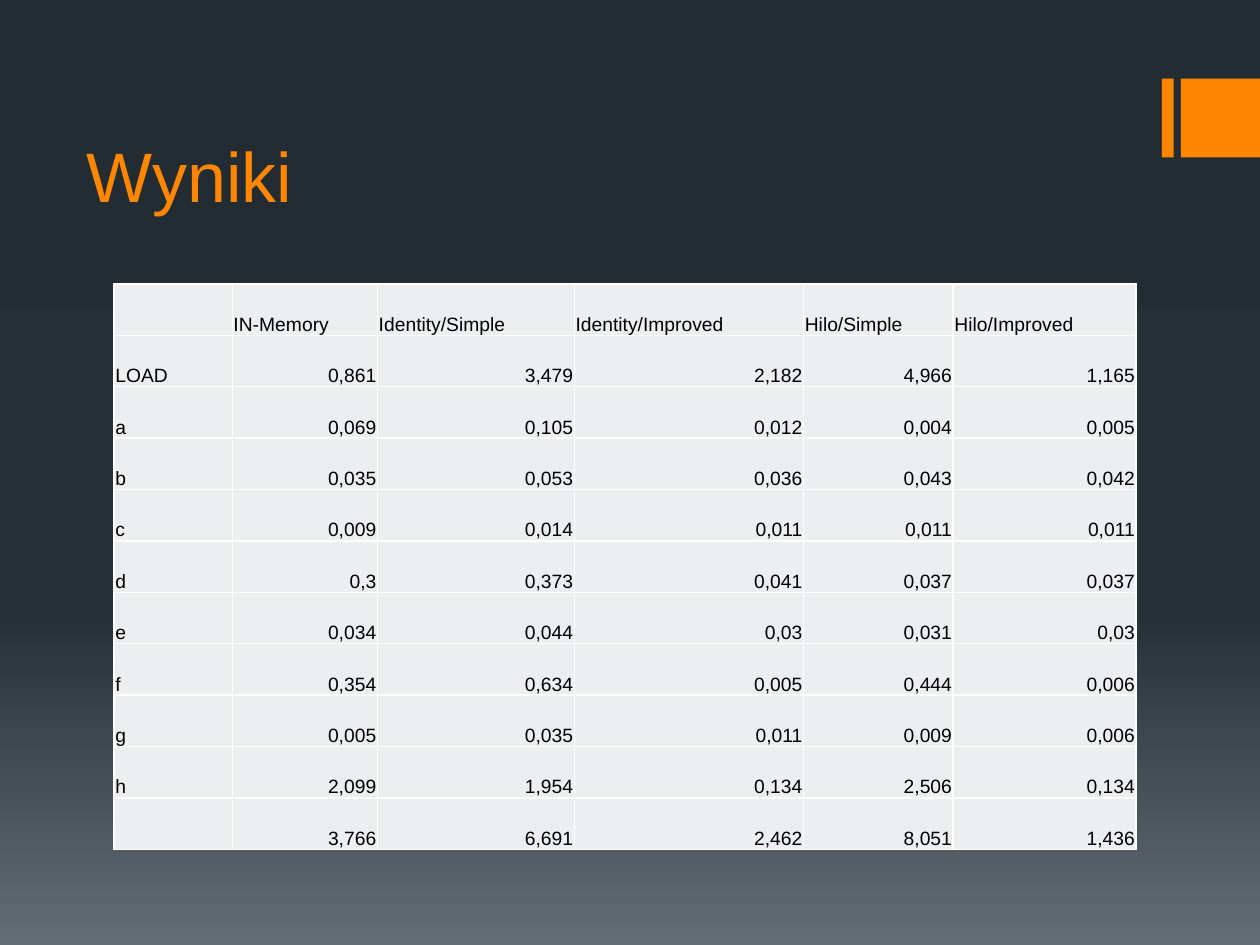
from copy import deepcopy

from lxml import etree
from pptx import Presentation
from pptx.dml.color import RGBColor
from pptx.enum.shapes import MSO_SHAPE
from pptx.enum.text import MSO_ANCHOR, PP_ALIGN
from pptx.oxml.ns import qn
from pptx.util import Pt

COLORS = {
    "accent": "FF8600", "cell": "EDEEEF", "border": "FFFFFF", "text": "000000",
    "bg_top": "242C33", "bg_middle": "273037", "bg_bottom": "636D76",
}
FONT = "Arial"
ROWS = [
    ["", "IN-Memory", "Identity/Simple", "Identity/Improved", "Hilo/Simple", "Hilo/Improved"],
    ["LOAD", "0,861", "3,479", "2,182", "4,966", "1,165"],
    ["a", "0,069", "0,105", "0,012", "0,004", "0,005"],
    ["b", "0,035", "0,053", "0,036", "0,043", "0,042"],
    ["c", "0,009", "0,014", "0,011", "0,011", "0,011"],
    ["d", "0,3", "0,373", "0,041", "0,037", "0,037"],
    ["e", "0,034", "0,044", "0,03", "0,031", "0,03"],
    ["f", "0,354", "0,634", "0,005", "0,444", "0,006"],
    ["g", "0,005", "0,035", "0,011", "0,009", "0,006"],
    ["h", "2,099", "1,954", "0,134", "2,506", "0,134"],
    ["", "3,766", "6,691", "2,462", "8,051", "1,436"],
]
COLUMN_WIDTHS = [67.5, 83, 112.5, 131, 85.5, 104.5]
ROW_HEIGHT = 29.38


def style_text(paragraph, size, color):
    """Set the font, size and colour of a paragraph."""
    paragraph.font.name = FONT
    paragraph.font.size = Pt(size)
    paragraph.font.color.rgb = RGBColor.from_string(COLORS[color])


def add_borders(cell):
    """Draw a thin border on all four sides of a table cell."""
    properties = cell._tc.get_or_add_tcPr()
    for index, side in enumerate(("a:lnL", "a:lnR", "a:lnT", "a:lnB")):
        line = etree.Element(qn(side), w=str(Pt(1)))
        fill = etree.SubElement(line, qn("a:solidFill"))
        etree.SubElement(fill, qn("a:srgbClr"), val=COLORS["border"])
        properties.insert(index, line)


prs = Presentation()
prs.slide_width, prs.slide_height = Pt(720), Pt(540)
slide = prs.slides.add_slide(prs.slide_layouts[6])

# Background gradient
background = slide.background.fill
background.gradient()
background.gradient_angle = 270
stop_list = slide._element.find(".//" + qn("a:gsLst"))
stop_list.append(deepcopy(stop_list[0]))
stops = [(0, "bg_top"), (0.65, "bg_middle"), (1, "bg_bottom")]
for stop, (position, color) in zip(background.gradient_stops, stops):
    stop.position = position
    stop.color.rgb = RGBColor.from_string(COLORS[color])

# Accent bars at the right edge
for left, width in ((664, 6.75), (674.75, 45.25)):
    bar = slide.shapes.add_shape(MSO_SHAPE.RECTANGLE, Pt(left), Pt(45), Pt(width), Pt(45))
    bar.shadow.inherit = False
    bar.fill.solid()
    bar.fill.fore_color.rgb = RGBColor.from_string(COLORS["accent"])
    bar.line.fill.background()

# Title
title = slide.shapes.add_textbox(Pt(42.5), Pt(37.5), Pt(576), Pt(90)).text_frame
title.word_wrap = True
title.vertical_anchor = MSO_ANCHOR.BOTTOM
title.text = "Wyniki"
style_text(title.paragraphs[0], 40, "accent")

# Results table
table = slide.shapes.add_table(
    len(ROWS), len(COLUMN_WIDTHS), Pt(65.25), Pt(162.25),
    Pt(sum(COLUMN_WIDTHS)), Pt(ROW_HEIGHT * len(ROWS))).table
for column, width in zip(table.columns, COLUMN_WIDTHS):
    column.width = Pt(width)
for r, values in enumerate(ROWS):
    table.rows[r].height = Pt(ROW_HEIGHT)
    for c, value in enumerate(values):
        cell = table.cell(r, c)
        cell.text = value
        cell.vertical_anchor = MSO_ANCHOR.BOTTOM
        cell.margin_left = cell.margin_right = cell.margin_top = Pt(0.7)
        cell.margin_bottom = Pt(0)
        cell.fill.solid()
        cell.fill.fore_color.rgb = RGBColor.from_string(COLORS["cell"])
        add_borders(cell)
        paragraph = cell.text_frame.paragraphs[0]
        paragraph.alignment = PP_ALIGN.RIGHT if r and c else PP_ALIGN.LEFT
        paragraph.font.bold = False
        style_text(paragraph, 11, "text")

prs.save("out.pptx")
